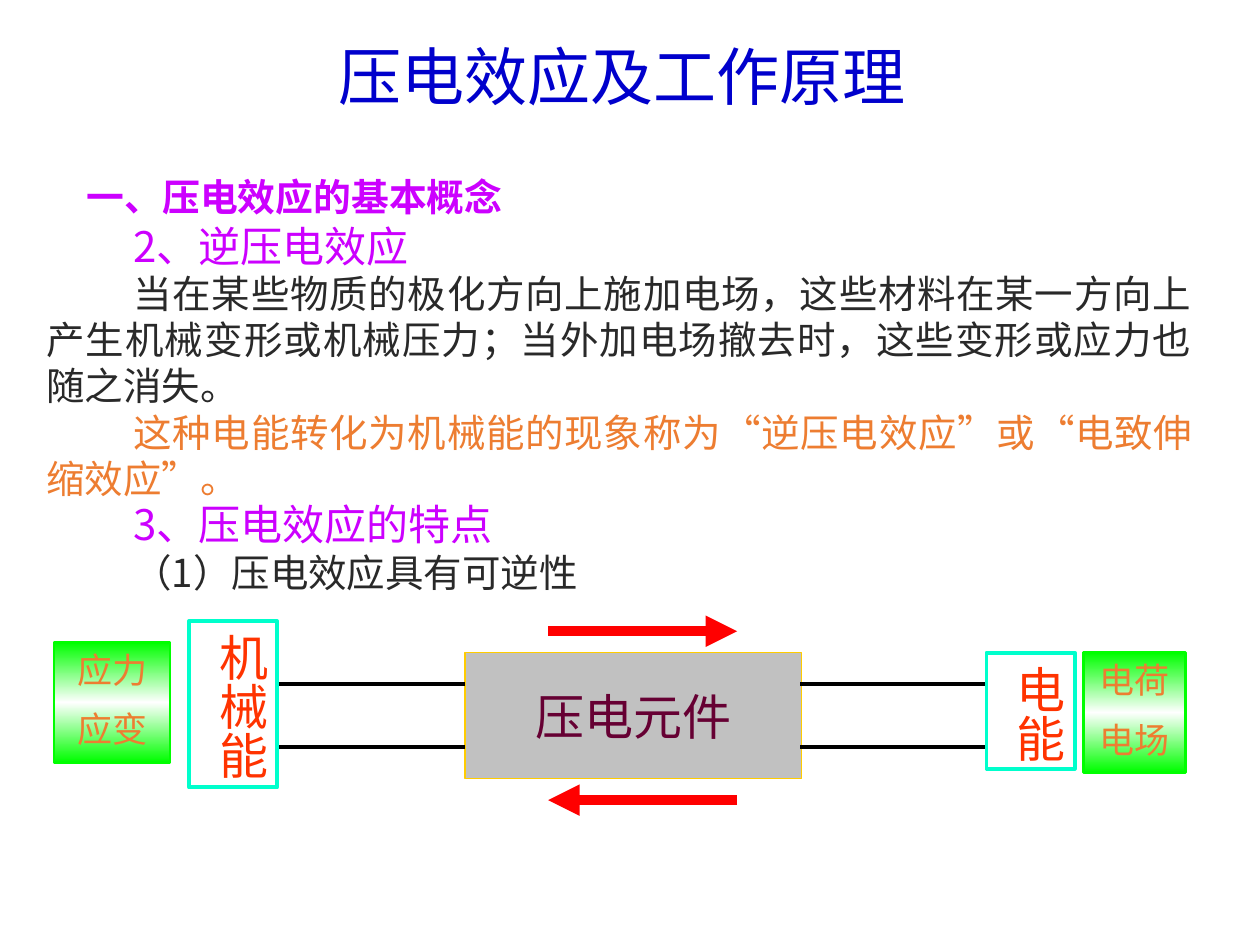
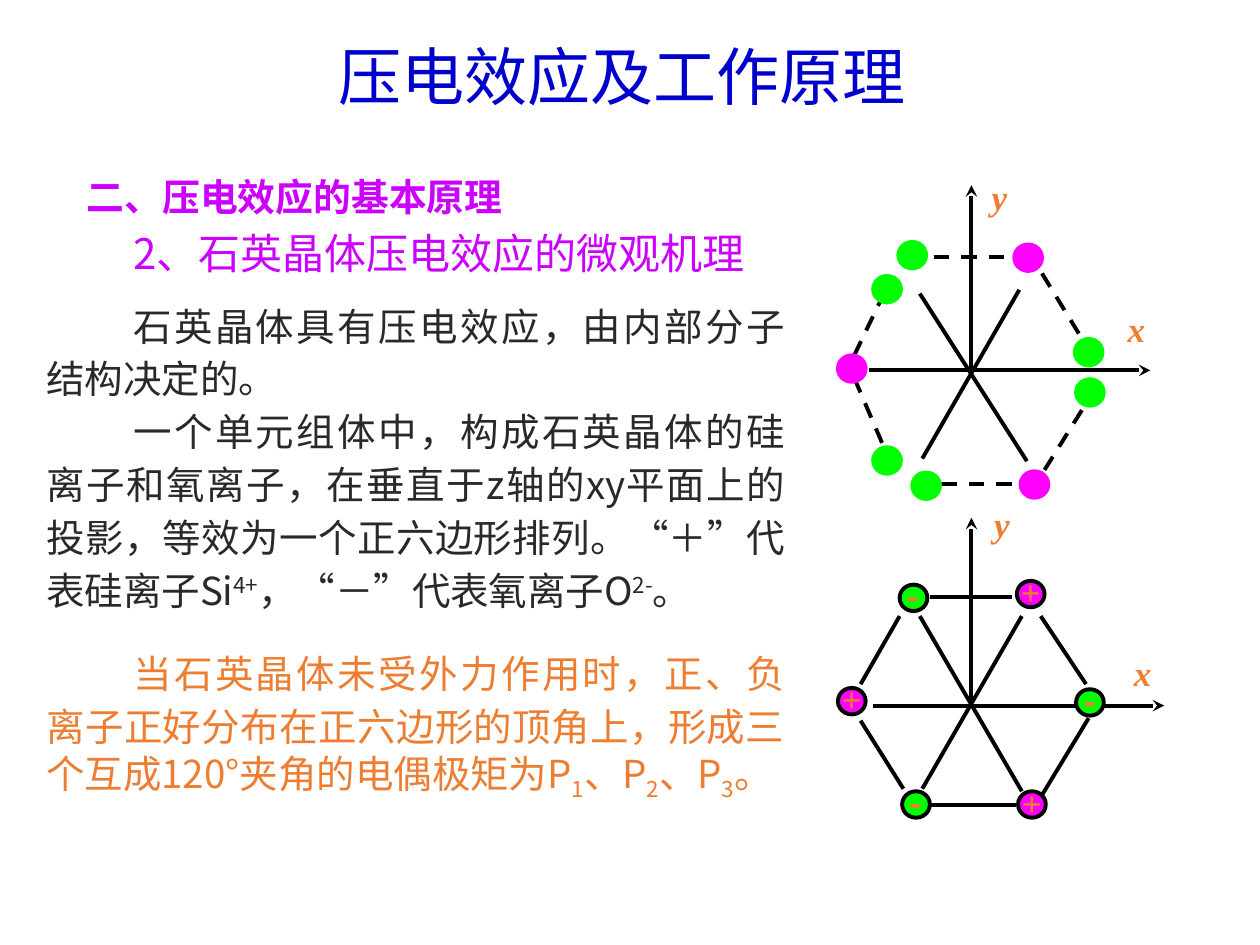
from collections import namedtuple
from copy import deepcopy
from dataclasses import dataclass
from itertools import groupby

from lxml.etree import SubElement
from pptx import Presentation
from pptx.dml.color import RGBColor
from pptx.enum.dml import MSO_LINE
from pptx.enum.lang import MSO_LANGUAGE_ID
from pptx.enum.shapes import MSO_CONNECTOR, MSO_SHAPE
from pptx.enum.text import MSO_ANCHOR, PP_ALIGN
from pptx.oxml.ns import qn
from pptx.util import Inches, Pt


@dataclass(frozen=True)
class Theme:
    sans: str = "Noto Sans CJK SC"
    serif: str = "Times New Roman"
    arial: str = "Arial"
    title: str = "0000CC"
    heading: str = "CC00FF"
    body: str = "292929"
    accent: str = "ED7D31"
    black: str = "000000"
    white: str = "FFFFFF"
    red: str = "FF0000"
    green: str = "00FF00"
    magenta: str = "FF00FF"
    element: str = "C1C1C1"
    element_edge: str = "FFCC00"
    element_text: str = "660033"
    energy_edge: str = "00FFCC"
    energy_text: str = "FF3300"
    title_size: float = 36
    diagram_size: float = 28
    topic_size: float = 24
    body_size: float = 22
    heading_size: float = 21.6
    label_size: float = 20
    line_ratio: float = 1.195
    loose: float = 1.15
    stroke: float = 2.25


THEME = Theme()
CENTER, JUSTIFY = PP_ALIGN.CENTER, PP_ALIGN.JUSTIFY
Style = namedtuple("Style", "size color font align indent spacing bold italic before",
                   defaults=(THEME.sans, JUSTIFY, 0, 1, False, False, 0))

TITLE = Style(THEME.title_size, THEME.title, THEME.serif, CENTER)
HEADING = Style(THEME.heading_size, THEME.heading, align=PP_ALIGN.LEFT, spacing=0.85, bold=True)
TOPIC = Style(THEME.topic_size, THEME.heading, indent=0.69)
BODY = Style(THEME.body_size, THEME.body, indent=0.69)
REMARK = BODY._replace(color=THEME.accent)
QUANTITY = Style(THEME.label_size, THEME.accent, THEME.arial, CENTER)
ENERGY = Style(THEME.diagram_size, THEME.energy_text, THEME.serif, PP_ALIGN.LEFT)
ELEMENT = Style(THEME.diagram_size, THEME.element_text, THEME.serif, CENTER)
PLUS = Style(THEME.label_size, THEME.accent, THEME.serif, spacing=None, bold=True)
MINUS = PLUS._replace(font=THEME.sans, align=CENTER)
AXIS = PLUS._replace(italic=True)


class Box(namedtuple("Box", "left top width height")):
    def inner(self, left, top, width, height):
        return Box(self.left + left, self.top + top, width, height)

    def point(self, x, y):
        return Inches(self.left + x), Inches(self.top + y)

    def lengths(self):
        return [Inches(value) for value in self]


def assign(target, formats):
    for name, value in formats.items():
        setattr(target, name, value)


def rgb(color):
    return RGBColor.from_string(color)


def add_run(paragraph, text, style, baseline):
    for quoted, letters in groupby(text, key=lambda letter: letter in "“”"):
        run = paragraph.add_run()
        run.text = "".join(letters)
        assign(run.font, {
            "name": THEME.serif if quoted else style.font,
            "size": Pt(style.size),
            "bold": style.bold,
            "italic": style.italic,
            "language_id": MSO_LANGUAGE_ID.SIMPLIFIED_CHINESE,
        })
        run.font.color.rgb = rgb(style.color)
        properties = run.font._element
        SubElement(properties, qn("a:ea")).set("typeface", THEME.sans)
        if baseline:
            properties.set("baseline", str(baseline * 1000))


def write(frame, paragraphs, inset=(0.1, 0.05), anchor=MSO_ANCHOR.TOP, wrap=True):
    across, down = (Inches(value) for value in inset)
    assign(frame, {"word_wrap": wrap, "vertical_anchor": anchor,
                   "margin_left": across, "margin_right": across,
                   "margin_top": down, "margin_bottom": down})
    for index, (content, style) in enumerate(paragraphs):
        paragraph = frame.add_paragraph() if index else frame.paragraphs[0]
        paragraph.alignment = style.align
        if style.spacing:
            paragraph.line_spacing = Pt(round(style.size * THEME.line_ratio * style.spacing, 1))
        if index and style.before:
            paragraph.space_before = Pt(style.before)
        if style.indent:
            properties = paragraph._p.get_or_add_pPr()
            properties.set("marL", "0")
            properties.set("indent", str(Inches(style.indent)))
        segments = [(content, 0)] if isinstance(content, str) else content
        for text, baseline in segments:
            add_run(paragraph, text, style, baseline)


def add_text(slide, box, paragraphs, **frame_formats):
    write(slide.shapes.add_textbox(*box.lengths()).text_frame, paragraphs, **frame_formats)


def add_block(slide, box, fill, edge, weight, kind=MSO_SHAPE.RECTANGLE):
    block = slide.shapes.add_shape(kind, *box.lengths())
    block.shadow.inherit = False
    block.fill.solid()
    block.fill.fore_color.rgb = rgb(fill)
    block.line.color.rgb = rgb(edge)
    block.line.width = Pt(weight)
    return block


def add_line(slide, box, ends, color=THEME.black, weight=THEME.stroke, arrow=None, dashed=False):
    x1, y1, x2, y2 = ends
    line = slide.shapes.add_connector(
        MSO_CONNECTOR.STRAIGHT, *box.point(x1, y1), *box.point(x2, y2))
    line.line.color.rgb = rgb(color)
    line.line.width = Pt(weight)
    if dashed:
        line.line.dash_style = MSO_LINE.DASH
    if arrow:
        SubElement(line.line._get_or_add_ln(), qn("a:tailEnd")).set("type", arrow)
    SubElement(line._element.spPr, qn("a:effectLst"))


def add_headings(slide, section):
    add_text(slide, Box(0.98, 0.25, 8.03, 0.7), [("压电效应及工作原理 ", TITLE)])
    add_text(slide, Box(0.59, 1.39, 8.98, 0.39), [(section, HEADING)], anchor=MSO_ANCHOR.MIDDLE)


def add_quantities(slide, box, names):
    panel = add_block(slide, box, THEME.green, THEME.green, 1.5)
    panel.fill.gradient()
    panel.fill.gradient_angle = 90
    for stop in panel.fill.gradient_stops:
        stop.color.rgb = rgb(THEME.green)
    first = panel._element.spPr.find(".//" + qn("a:gs"))
    first.addnext(deepcopy(first))
    middle = panel.fill.gradient_stops[1]
    middle.position = 0.5
    middle.color.rgb = rgb(THEME.white)
    write(panel.text_frame, [(name, QUANTITY._replace(before=10)) for name in names])


def add_energy(slide, box, name):
    energy = add_block(slide, box, THEME.white, THEME.energy_edge, THEME.stroke)
    write(energy.text_frame, [(name, ENERGY)], wrap=False)
    energy.text_frame._txBody.bodyPr.set("vert", "eaVert")


def add_reversibility(slide, box):
    element = add_block(slide, box.inner(3.26, 0.25, 2.67, 1),
                        THEME.element, THEME.element_edge, 0.75)
    write(element.text_frame, [("压电元件", ELEMENT)], anchor=MSO_ANCHOR.MIDDLE, wrap=False)
    for start in (1.76, 5.92):
        for height in (0.5, 1):
            add_line(slide, box, (start, height, start + 1.5, height))
    for ends in ((3.92, 0.08, 5.42, 0.08), (5.42, 1.42, 3.92, 1.42)):
        add_line(slide, box, ends, THEME.red, 6, "triangle")
    add_energy(slide, box.inner(1.07, 0, 0.7, 1.32), "机械能")
    add_energy(slide, box.inner(7.4, 0.25, 0.7, 0.92), "电能")
    add_quantities(slide, box.inner(0, 0.17, 0.92, 0.95), ("应力", "应变"))
    add_quantities(slide, box.inner(8.17, 0.25, 0.81, 0.95), ("电荷", "电场"))


def add_lattice(slide, box, axes, labels, diagonals, sides, ions, dashed, signed):
    for ends in axes:
        add_line(slide, box, ends, arrow="stealth")
    for ends in diagonals:
        add_line(slide, box, ends)
    for ends in sides:
        add_line(slide, box, ends, dashed=dashed)
    for color, centers in ions.items():
        for x, y in centers:
            add_block(slide, box.inner(x - 0.11, y - 0.1, 0.22, 0.21), color,
                      THEME.black if signed else color, THEME.stroke, MSO_SHAPE.OVAL)
            if signed:
                sign, style, shift, width = (
                    ("+", PLUS, 0.08, 0.5) if color == THEME.magenta else ("-", MINUS, 0.35, 0.7))
                add_text(slide, box.inner(x - shift, y - 0.18, width, 0.36),
                         [(sign, style)], inset=(0, 0))
    for name, (x, y) in labels.items():
        add_text(slide, box.inner(x, y, 0.3, 0.6), [(name, AXIS)], inset=(0, 0))


def add_molecule(slide, box):
    add_lattice(
        slide, box, dashed=True, signed=False,
        axes=[(1.06, 1.57, 1.06, 0.08), (0.25, 1.55, 2.48, 1.55)],
        labels={"x": (2.3, 1.05), "y": (1.22, 0)},
        diagonals=[(1.44, 0.91, 0.67, 2.25), (0.65, 0.94, 1.5, 2.27)],
        sides=[(0.13, 1.61, 0.37, 2.17), (0.13, 1.43, 0.37, 0.93), (1.62, 0.78, 1.92, 1.27),
               (0.76, 0.65, 1.35, 0.65), (0.82, 2.45, 1.41, 2.45), (1.64, 2.34, 1.94, 1.86)],
        ions={THEME.magenta: [(1.51, 0.65), (1.56, 2.45), (0.11, 1.53)],
              THEME.green: [(1.99, 1.4), (2, 1.72), (0.39, 2.26), (0.39, 0.9),
                            (0.59, 0.63), (0.7, 2.46)]})


def add_hexagon(slide, box):
    add_lattice(
        slide, box, dashed=False, signed=True,
        axes=[(1.06, 1.58, 1.06, 0.12), (0.28, 1.61, 2.59, 1.61)],
        labels={"x": (2.35, 1.18), "y": (1.24, 0)},
        diagonals=[(1.46, 0.9, 0.67, 2.27), (0.65, 0.9, 1.46, 2.29)],
        sides=[(1.62, 2.32, 1.99, 1.71), (0.73, 2.4, 1.41, 2.4), (0.18, 1.73, 0.52, 2.27),
               (0.49, 0.9, 0.18, 1.44), (0.73, 0.75, 1.38, 0.75), (1.61, 0.9, 1.97, 1.44)],
        ions={THEME.magenta: [(1.54, 2.39), (1.53, 0.72), (0.11, 1.57)],
              THEME.green: [(0.62, 2.39), (2, 1.58), (0.6, 0.75)]})


def build_converse_effect(slide):
    add_headings(slide, "一、压电效应的基本概念")
    add_text(slide, Box(0.27, 1.7, 9.29, 2.33), [
        ("2、逆压电效应", TOPIC),
        ("当在某些物质的极化方向上施加电场，这些材料在某一方向上产生机械变形或机械压力；"
         "当外加电场撤去时，这些变形或应力也随之消失。", BODY),
        ("这种电能转化为机械能的现象称为“逆压电效应”或“电致伸缩效应”。", REMARK),
    ])
    add_text(slide, Box(0.27, 3.91, 9.29, 0.87), [
        ("3、压电效应的特点", TOPIC),
        ("（1）压电效应具有可逆性", BODY),
    ])
    add_reversibility(slide, Box(0.43, 4.93, 8.98, 1.5))


def build_quartz_mechanism(slide):
    topic, body, remark = (style._replace(spacing=THEME.loose) for style in (TOPIC, BODY, REMARK))
    add_headings(slide, "二、压电效应的基本原理")
    add_text(slide, Box(0.27, 1.7, 5.75, 0.56), [("2、石英晶体压电效应的微观机理", topic)])
    add_text(slide, Box(0.27, 2.3, 6.06, 2.63), [
        ("石英晶体具有压电效应，由内部分子结构决定的。", body),
        ([("一个单元组体中，构成石英晶体的硅离子和氧离子，在垂直于z轴的xy平面上的投影，"
           "等效为一个正六边形排列。“＋”代表硅离子Si", 0), ("4+", 30),
          ("，“－”代表氧离子O", 0), ("2-", 30), ("。", 0)], body),
    ])
    add_text(slide, Box(0.27, 5.06, 6.06, 1.37), [
        ([("当石英晶体未受外力作用时，正、负离子正好分布在正六边形的顶角上，"
           "形成三个互成120°夹角的电偶极矩为P", 0), ("1", -25), ("、P", 0), ("2", -25),
          ("、P", 0), ("3", -25), ("。", 0)], remark),
    ])
    add_molecule(slide, Box(6.65, 1.39, 2.6, 2.57))
    add_hexagon(slide, Box(6.65, 3.99, 2.6, 2.5))


def main():
    deck = Presentation()
    assign(deck, {"slide_width": Inches(10), "slide_height": Inches(7.5)})
    for build in (build_converse_effect, build_quartz_mechanism):
        build(deck.slides.add_slide(deck.slide_layouts[6]))
    deck.save("out.pptx")


if __name__ == "__main__":
    main()
